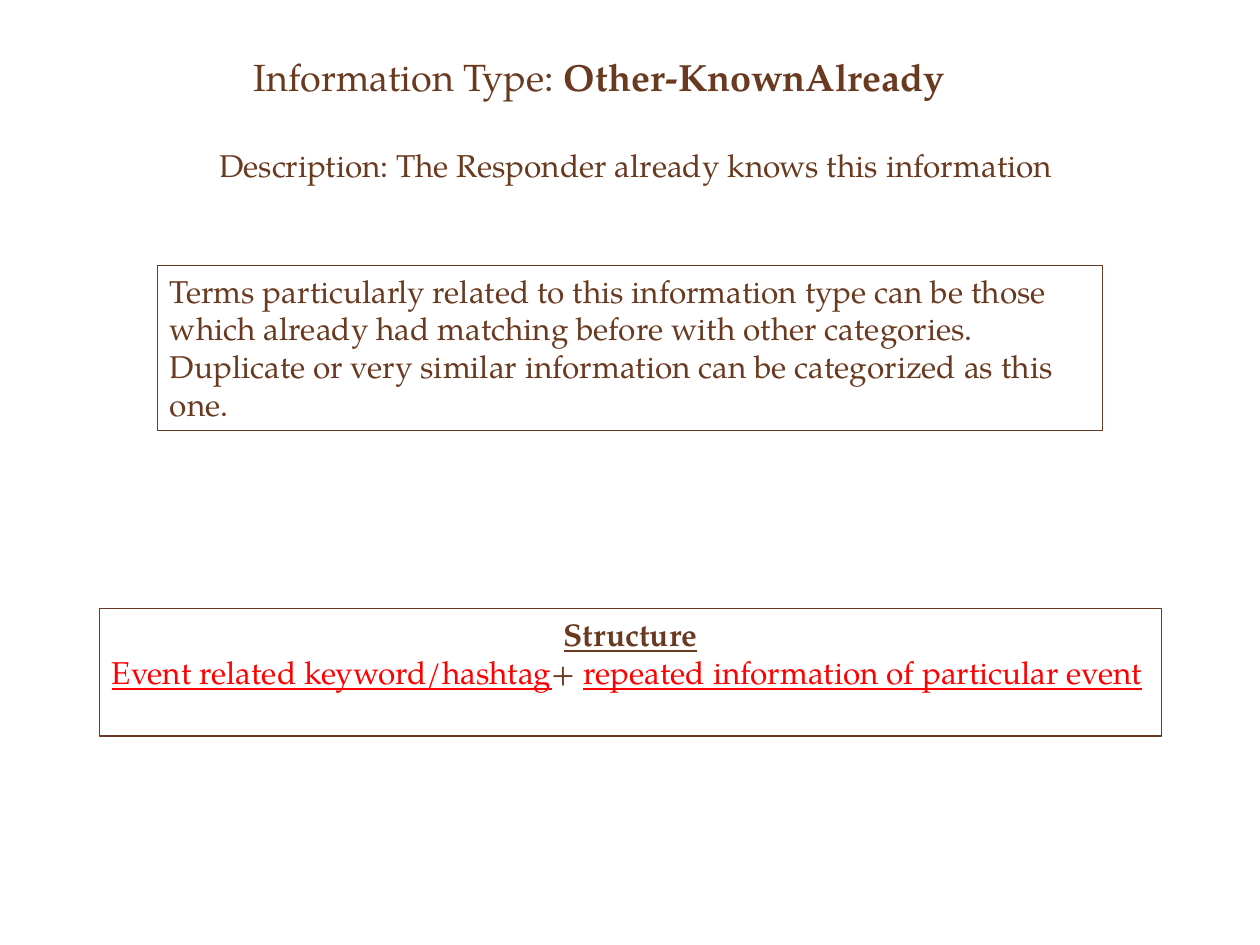
from pptx import Presentation
from pptx.dml.color import RGBColor
from pptx.enum.shapes import MSO_SHAPE
from pptx.enum.text import MSO_ANCHOR, PP_ALIGN
from pptx.util import Inches, Pt

RECT = MSO_SHAPE.RECTANGLE
TOP, BOTTOM = MSO_ANCHOR.TOP, MSO_ANCHOR.BOTTOM
LEFT, CENTER = PP_ALIGN.LEFT, PP_ALIGN.CENTER

WIDTH, HEIGHT = 10, 7.5
FONT = "TeX Gyre Pagella"
BROWN, RED = "6A3A20", "FF0000"
BODY = {"name": FONT, "size": Pt(18)}
TITLE = {"name": FONT, "size": Pt(21.6)}


def rgb(value):
    """Turn a hex string into a colour."""
    return RGBColor.from_string(value)


def share(x, y, w, h):
    """Turn shares of the slide's size into a box of lengths."""
    return [Inches(v * side) for v, side in zip((x, y, w, h), (WIDTH, HEIGHT) * 2)]


def add_run(p, text, base, color=BROWN, **extra):
    """Add a run with the base format and any extra font settings."""
    r = p.add_run()
    r.text = text
    for name, value in {**base, **extra}.items():
        setattr(r.font, name, value)
    r.font.color.rgb = rgb(color)


def set_frame(sp, anchor, align):
    """Prepare a shape's text frame and return it."""
    tf = sp.text_frame
    tf.word_wrap = True
    tf.vertical_anchor = anchor
    tf.paragraphs[0].alignment = align
    return tf


def add_frame_box(slide, box):
    """Add an outlined rectangle and return its text frame."""
    sp = slide.shapes.add_shape(RECT, *box)
    sp.shadow.inherit = False
    sp.fill.background()
    sp.line.color.rgb = rgb(BROWN)
    sp.line.width = Pt(0.75)
    return set_frame(sp, TOP, LEFT)


def add_title(slide, box):
    """Add the information type heading."""
    tf = set_frame(slide.shapes.add_textbox(*box), BOTTOM, CENTER)
    p = tf.paragraphs[0]
    add_run(p, "Information Type: ", TITLE)
    add_run(p, "Other-KnownAlready", TITLE, bold=True)


def add_description(slide, box):
    """Add the centred description line."""
    tf = set_frame(slide.shapes.add_textbox(*box), TOP, CENTER)
    add_run(tf.paragraphs[0],
            "Description: The Responder already knows this information", BODY)


def add_terms(slide, box):
    """Add the framed note on related terms."""
    tf = add_frame_box(slide, box)
    add_run(tf.paragraphs[0],
            "Terms particularly related to this information type can be those "
            "which already had matching before with other categories. Duplicate "
            "or very similar information can be categorized as this one.", BODY)


def add_structure(slide, box):
    """Add the framed structure heading and its pattern."""
    tf = add_frame_box(slide, box)
    p = tf.paragraphs[0]
    p.alignment = CENTER
    tf.margin_right = Inches(0.1)
    add_run(p, "Structure", BODY, bold=True, underline=True)
    p = tf.add_paragraph()
    p.alignment = LEFT
    add_run(p, "Event related keyword/hashtag", BODY, RED, underline=True)
    add_run(p, "+ ", BODY)
    add_run(p, "repeated information of particular event", BODY, RED, underline=True)


def main():
    """Build the slide and save it."""
    prs = Presentation()
    prs.slide_width, prs.slide_height = Inches(WIDTH), Inches(HEIGHT)
    slide = prs.slides.add_slide(prs.slide_layouts[6])
    add_title(slide, share(0.167, 0.044, 0.617, 0.067))
    add_description(slide, share(0.092, 0.148, 0.825, 0.053))
    add_terms(slide, share(0.125, 0.281, 0.75, 0.175))
    add_structure(slide, share(0.079, 0.644, 0.843, 0.135))
    prs.save("out.pptx")


if __name__ == "__main__":
    main()
